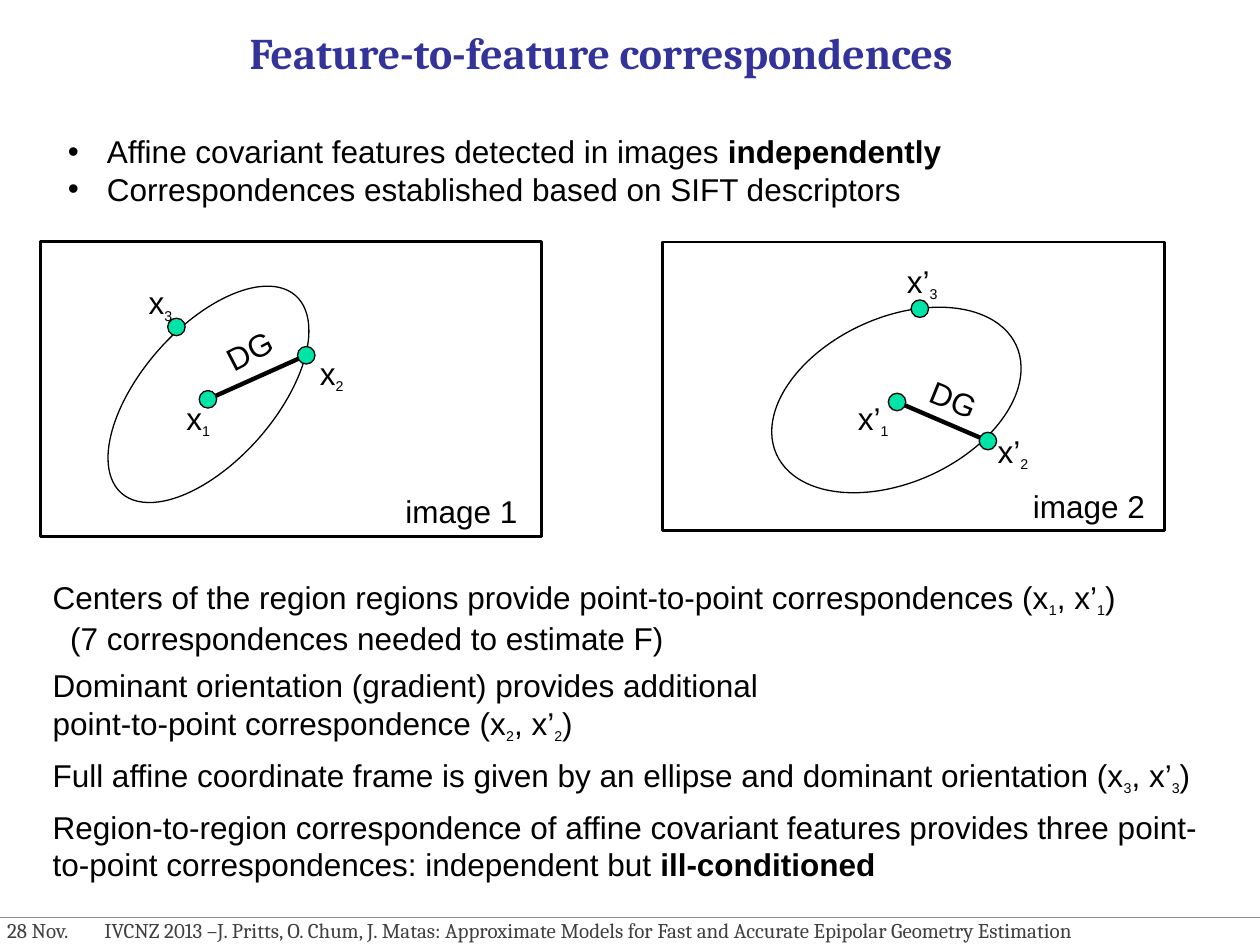
from lxml import etree
from pptx import Presentation
from pptx.dml.color import RGBColor
from pptx.enum.shapes import MSO_CONNECTOR as Connector, MSO_SHAPE as Shape
from pptx.enum.text import MSO_ANCHOR as Anchor, MSO_AUTO_SIZE as AutoSize, PP_ALIGN as Align
from pptx.oxml.ns import qn
from pptx.util import Pt

BLACK = RGBColor(0x00, 0x00, 0x00)
TITLE_BLUE = RGBColor(0x33, 0x33, 0x99)
POINT_GREEN = RGBColor(0x00, 0xE4, 0xA8)
FOOTER_TEXT = RGBColor(0x40, 0x40, 0x40)
FOOTER_RULE = RGBColor(0x8E, 0x8E, 0x8E)
SUB, BOLD = "sub", "bold"
LABEL_HEIGHT = 28.8
DOT = 10


def set_font(run, size=18, name="Arial", color=BLACK, bold=False):
    run.font.size = Pt(size)
    run.font.name = name
    run.font.color.rgb = color
    run.font.bold = bold


def add_text(slide, box, paragraphs, wrap=False):
    """Each paragraph is a list of strings and (string, SUB or BOLD) pairs."""
    shape = slide.shapes.add_textbox(*map(Pt, box))
    frame = shape.text_frame
    frame.word_wrap = wrap
    frame.auto_size = AutoSize.SHAPE_TO_FIT_TEXT
    for index, parts in enumerate(paragraphs):
        paragraph = frame.add_paragraph() if index else frame.paragraphs[0]
        for part in parts:
            text, style = (part, None) if isinstance(part, str) else part
            run = paragraph.add_run()
            run.text = text
            set_font(run, size=14 if style == SUB else 18, bold=style == BOLD)
            if style == SUB:
                run.font._element.set("baseline", "-25000")
    return shape


def set_indent(paragraph, margin, first_line=0):
    properties = paragraph._p.get_or_add_pPr()
    properties.set("marL", str(Pt(margin)))
    properties.set("indent", str(Pt(first_line)))
    return properties


def add_line(slide, start, end, color, width):
    line = slide.shapes.add_connector(Connector.STRAIGHT, *map(Pt, (*start, *end)))
    line.line.color.rgb = color
    line.line.width = Pt(width)
    etree.SubElement(line._element.spPr, qn("a:effectLst"))


def add_outline(slide, kind, box, width=0.75, fill=None, rotation=0):
    shape = slide.shapes.add_shape(kind, *map(Pt, box))
    shape.shadow.inherit = False
    shape.rotation = rotation
    shape.line.color.rgb = BLACK
    shape.line.width = Pt(width)
    if fill is None:
        shape.fill.background()
    else:
        shape.fill.solid()
        shape.fill.fore_color.rgb = fill


def add_title(slide, box, text):
    title = slide.shapes.title
    title.left, title.top, title.width, title.height = map(Pt, box)
    frame = title.text_frame
    frame.text = text
    frame.vertical_anchor = Anchor.BOTTOM
    paragraph = frame.paragraphs[0]
    paragraph.alignment = Align.CENTER
    set_font(paragraph.runs[0], 25, "Cambria", TITLE_BLUE, True)


def add_bullets(slide, box, paragraphs):
    shape = add_text(slide, box, paragraphs)
    for paragraph in shape.text_frame.paragraphs:
        properties = set_indent(paragraph, 22.3, -22.3)
        etree.SubElement(properties, qn("a:buFont")).set("typeface", "Arial")
        etree.SubElement(properties, qn("a:buChar")).set("char", "•")


def add_image_frame(slide, box, caption, caption_at, ellipse, ellipse_rotation,
                    symbol, points, gradient_at, gradient_rotation):
    """Frame with one affine region; points are (centre, label position) pairs."""
    left, top, width, height = box

    def place(position, *size):
        return (left + position[0], top + position[1], *size)

    add_outline(slide, Shape.RECTANGLE, box, 1.5)
    add_outline(slide, Shape.OVAL, place(ellipse[:2], *ellipse[2:]),
                rotation=ellipse_rotation)
    add_line(slide, place(points[0][0]), place(points[1][0]), BLACK, 2.5)
    label_width = 28.8 if symbol == "x" else 33.1
    for number, ((x, y), label_at) in enumerate(points, 1):
        add_outline(slide, Shape.OVAL, place((x - DOT / 2, y - DOT / 2), DOT, DOT),
                    fill=POINT_GREEN)
        add_text(slide, place(label_at, label_width, LABEL_HEIGHT),
                 [[symbol, (str(number), SUB)]])
    gradient = add_text(slide, place(gradient_at, 46.8, 33.1), [["DG"]])
    gradient.rotation = gradient_rotation
    add_text(slide, place(caption_at, 79.2, LABEL_HEIGHT), [[caption]])


def add_explanations(slide, left):
    def pair(lead, number):
        return [lead + " (x", (number, SUB), ", x’", (number, SUB), ")"]

    centers = add_text(slide, (left, 326.9, 639.4, 51.1), [
        pair("Centers of the region regions provide point-to-point correspondences", "1"),
        ["(7 correspondences needed to estimate F)"]])
    set_indent(centers.text_frame.paragraphs[1], 10)
    add_text(slide, (left, 377.3, 426.2, 51.1), [
        ["Dominant orientation (gradient) provides additional"],
        pair("point-to-point correspondence", "2")])
    add_text(slide, (left, 428.4, 671.8, LABEL_HEIGHT), [
        pair("Full affine coordinate frame is given by an ellipse and dominant orientation", "3")])
    add_text(slide, (left, 457.9, 668.2, 51.1), [
        ["Region-to-region correspondence of affine covariant features provides three "
         "point-to-point correspondences: independent but ", ("ill-conditioned", BOLD)]], wrap=True)


def add_footer(slide, box, date, text):
    left, top, width, height = box
    add_line(slide, (0, top + 3.6), (720, top + 3.6), FOOTER_RULE, 0.75)
    shape = add_text(slide, box, [[f"{date}\t{text}"]])
    shape.text_frame.margin_left = Pt(12.6)
    paragraph = shape.text_frame.paragraphs[0]
    tabs = etree.SubElement(paragraph._p.get_or_add_pPr(), qn("a:tabLst"))
    etree.SubElement(tabs, qn("a:tab"), pos=str(Pt(55.6)), algn="l")
    for run in paragraph.runs:
        set_font(run, 12, "Cambria", FOOTER_TEXT)


def main():
    presentation = Presentation()
    presentation.slide_width, presentation.slide_height = Pt(720), Pt(540)
    slide = presentation.slides.add_slide(presentation.slide_layouts[5])

    add_footer(slide, (-8.6, 520.6, 706.3, 21.6), "28 Nov.",
               "IVCNZ 2013 –J. Pritts, O. Chum, J. Matas: Approximate Models "
               "for Fast and Accurate Epipolar Geometry Estimation")
    add_title(slide, (77, 12.2, 532.8, 36), "Feature-to-feature correspondences")
    add_bullets(slide, (31.7, 72, 518.4, 51.1), [
        ["Affine covariant features detected in images ", ("independently", BOLD)],
        ["Correspondences established based on SIFT descriptors"]])
    add_image_frame(
        slide, (23, 138.2, 286.6, 168.5), "image 1", (201.6, 139.7),
        (20.9, 49, 150.5, 76.3), 311.4, "x",
        [((95.8, 90), (76.4, 86.4)),
         ((152, 64.8), (152.7, 60.5)),
         ((77.8, 48.6), (54.8, 20.2))],
        (99.4, 46.1), 332.5)
    add_image_frame(
        slide, (378.7, 138.2, 286.6, 164.9), "image 2", (204.5, 136.8),
        (58.3, 43.2, 150.5, 94.3), 335.6, "x’",
        [((133.9, 91.5), (104.4, 86.4)),
         ((185.8, 113.8), (184.3, 105.2)),
         ((146.9, 38.2), (132.5, 8))],
        (144.7, 76.4), 22.2)
    add_explanations(slide, 23)
    presentation.save("out.pptx")


if __name__ == "__main__":
    main()
